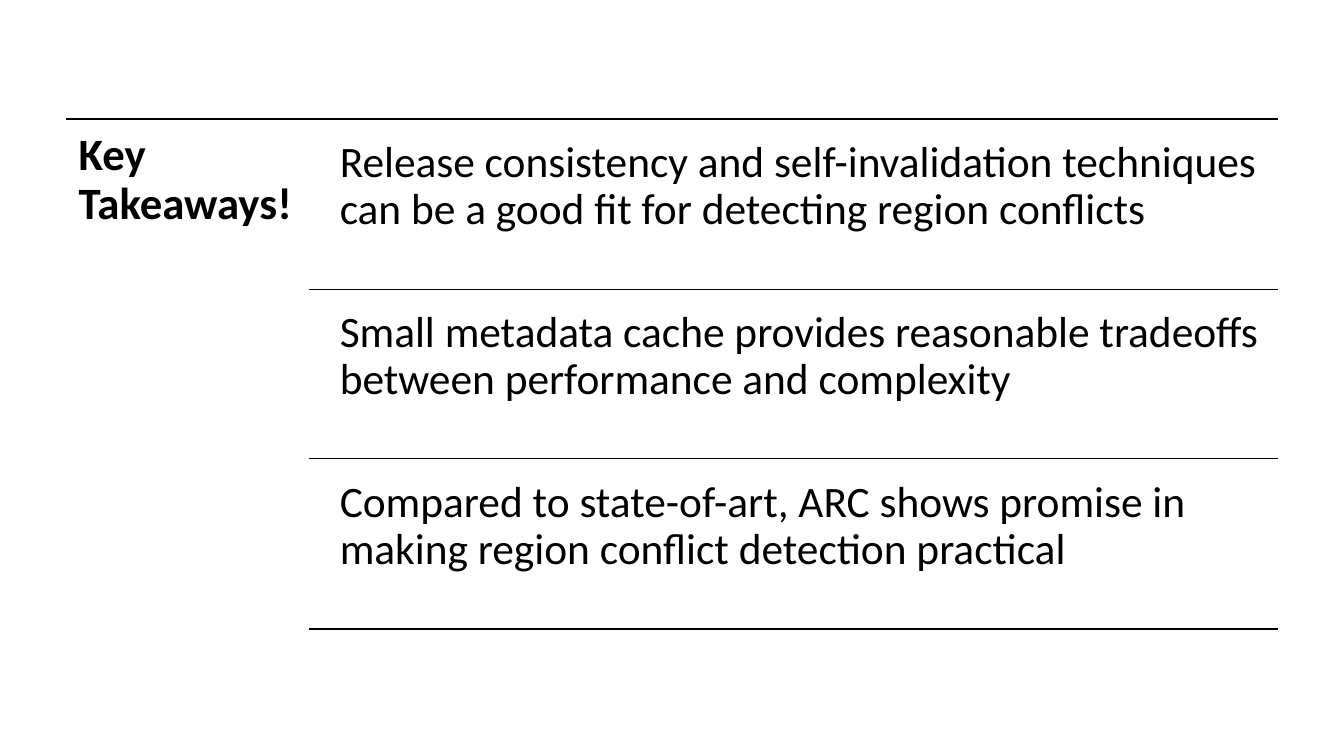
from lxml import etree
from pptx import Presentation
from pptx.dml.color import RGBColor
from pptx.enum.shapes import MSO_CONNECTOR
from pptx.enum.text import MSO_ANCHOR
from pptx.oxml.ns import qn
from pptx.util import Pt

STRAIGHT = MSO_CONNECTOR.STRAIGHT
TOP = MSO_ANCHOR.TOP
BLACK = RGBColor(0x00, 0x00, 0x00)
EMU_PER_PX = 9144  # 100 px to the inch

LIST_LEFT, LIST_TOP, LIST_RIGHT = 65, 118, 1268
TAKEAWAY_RULE_LEFT, TAKEAWAY_LEFT = 306, 324
LIST_HEIGHT, TAKEAWAY_HEIGHT, TAKEAWAY_GAP = 506, 160, 8

TITLE = "Key Takeaways!"
TAKEAWAYS = [
    "Release consistency and self-invalidation techniques can be a good fit "
    "for detecting region conflicts",
    "Small metadata cache provides reasonable tradeoffs between performance "
    "and complexity",
    "Compared to state-of-art, ARC shows promise in making region conflict "
    "detection practical",
]


def emu(px):
    return px * EMU_PER_PX


class TakeawaySlide:
    font_name = "Calibri"
    color = BLACK
    inset = 13

    def __init__(self, presentation):
        self.slide = presentation.slides.add_slide(presentation.slide_layouts[6])

    def rule(self, left, right, y):
        line = self.slide.shapes.add_connector(
            STRAIGHT, emu(left), emu(y), emu(right), emu(y))
        line.line.color.rgb = self.color
        line.line.width = Pt(1)
        etree.SubElement(line._element.spPr, qn("a:effectLst"))

    def text(self, content, left, top, width, height, size, bold=False):
        box = self.slide.shapes.add_textbox(
            emu(left), emu(top), emu(width), emu(height))
        text_frame = box.text_frame
        text_frame.word_wrap = True
        text_frame.vertical_anchor = TOP
        text_frame.margin_left = text_frame.margin_right = emu(self.inset)
        text_frame.margin_top = text_frame.margin_bottom = emu(self.inset)
        text_frame.text = content
        paragraph = text_frame.paragraphs[0]
        paragraph.line_spacing = 0.9
        font = paragraph.runs[0].font
        font.name = self.font_name
        font.size = Pt(size)
        font.bold = bold
        font.color.rgb = self.color


def main():
    presentation = Presentation()
    presentation.slide_width = emu(1333)
    presentation.slide_height = emu(750)
    slide = TakeawaySlide(presentation)

    slide.rule(LIST_LEFT, LIST_RIGHT, LIST_TOP)
    slide.text(TITLE, LIST_LEFT, LIST_TOP, 241, 513, size=32, bold=True)
    for index, takeaway in enumerate(TAKEAWAYS):
        row_top, row_bottom = (
            LIST_TOP + round(LIST_HEIGHT * step / len(TAKEAWAYS))
            for step in (index, index + 1))
        slide.text(takeaway, TAKEAWAY_LEFT, row_top + TAKEAWAY_GAP,
                   LIST_RIGHT - TAKEAWAY_LEFT, TAKEAWAY_HEIGHT, size=31)
        slide.rule(TAKEAWAY_RULE_LEFT, LIST_RIGHT, row_bottom)

    presentation.save("out.pptx")


if __name__ == "__main__":
    main()
